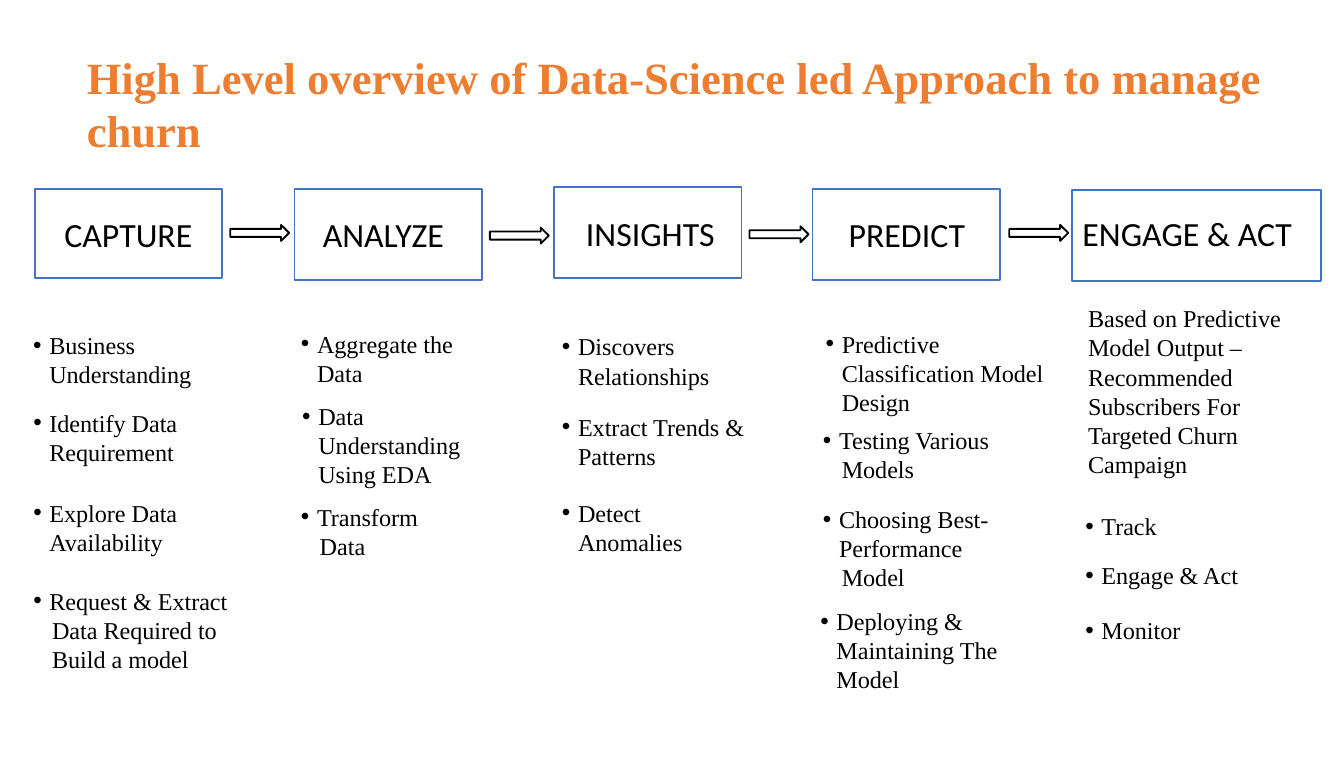
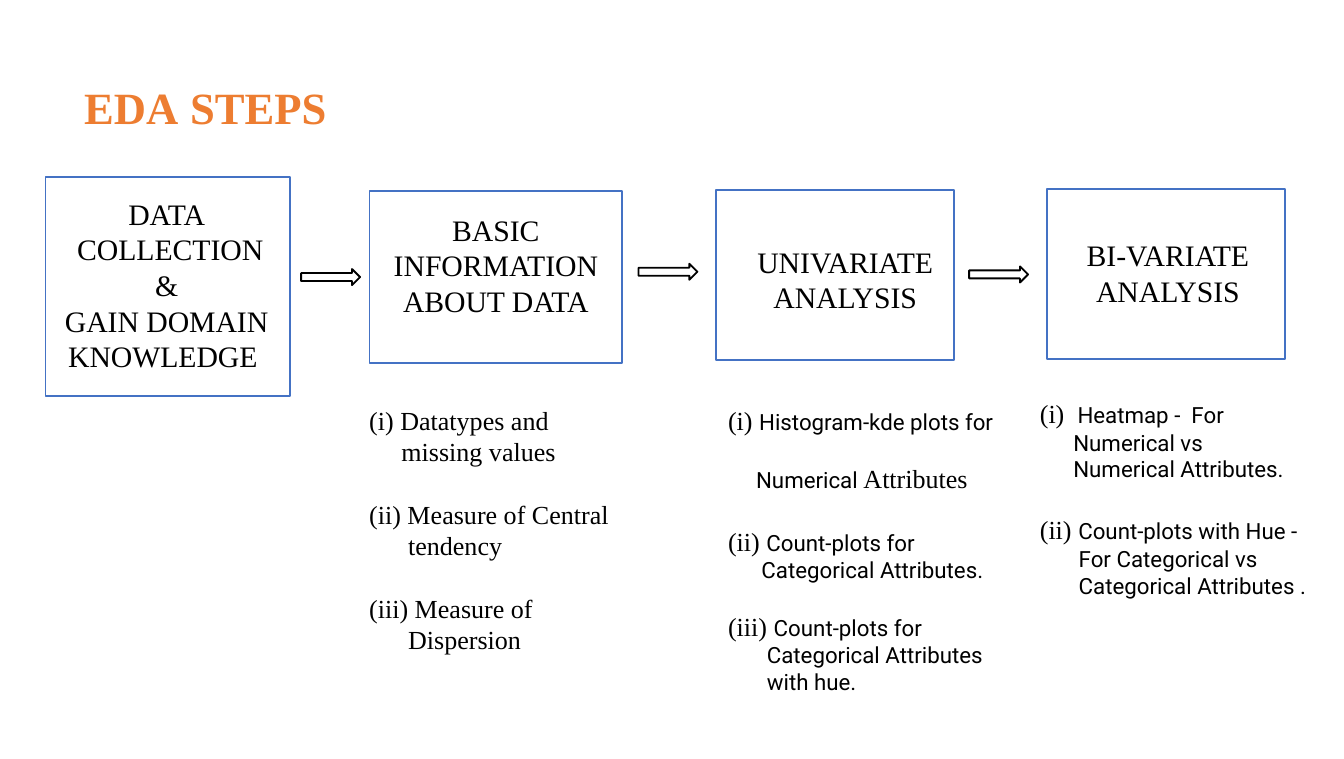
from dataclasses import dataclass
from lxml.etree import SubElement
from pptx import Presentation
from pptx.dml.color import RGBColor
from pptx.enum.shapes import MSO_SHAPE
from pptx.enum.text import MSO_AUTO_SIZE, PP_ALIGN
from pptx.oxml.ns import qn
from pptx.util import Inches, Pt


@dataclass(frozen=True)
class Theme:
    """Hold the colours and type styles of the deck."""
    white: str = "FFFFFF"
    black: str = "000000"
    blue: str = "4472C4"
    head: tuple = ("Times New Roman", 24, "ED7D31", True)
    gap: tuple = ("Calibri", 28, "0070C0", True)
    stage: tuple = ("Calibri", 18.2, "000000", False)
    step: tuple = ("Times New Roman", 16, "000000", False)
    note: tuple = ("Times New Roman", 13, "000000", False)
    mark: tuple = ("Times New Roman", 14, "000000", False)
    plain: tuple = ("Roboto", 12, "000000", False)


T = Theme()


def inch(*nums):
    """Turn numbers into lengths."""
    return [Inches(n) for n in nums]


def write(para, runs):
    """Add styled runs to a paragraph, breaking at newlines."""
    for text, style in runs:
        face, size, tint, bold = style
        for i, line in enumerate(text.split("\n")):
            if i:
                para.add_line_break()
            run = para.add_run()
            run.text = line
            for key, value in {"name": face, "size": Pt(size), "bold": bold}.items():
                setattr(run.font, key, value)
            run.font.color.rgb = RGBColor.from_string(tint)


def indent(para, left, first):
    """Set the left margin and first line indent."""
    props = para._p.get_or_add_pPr()
    for key, value in {"marL": left, "indent": first}.items():
        props.set(key, str(Inches(value)))
    return props


def bullet(para):
    """Give a paragraph a hanging round bullet."""
    props = indent(para, 0.12, -0.12)
    SubElement(props, qn("a:buFont")).set("typeface", "Arial")
    SubElement(props, qn("a:buChar")).set("char", "•")


def text(slide, box, paras, **form):
    """Add a text box with one list of runs per paragraph."""
    frame = slide.shapes.add_textbox(*inch(*box)).text_frame
    frame.word_wrap = True
    frame.auto_size = MSO_AUTO_SIZE.SHAPE_TO_FIT_TEXT
    for i, runs in enumerate(paras):
        para = frame.add_paragraph() if i else frame.paragraphs[0]
        for key, value in form.items():
            setattr(para, key, value)
        write(para, runs)
    return frame.paragraphs


def shape(slide, kind, box, line):
    """Add a white outlined shape."""
    item = slide.shapes.add_shape(kind, *inch(*box))
    item.shadow.inherit = False
    item.fill.solid()
    item.fill.fore_color.rgb = RGBColor.from_string(T.white)
    item.line.color.rgb = RGBColor.from_string(line)
    item.line.width = Pt(1)


def stage(slide, box, label, lines, style):
    """Draw a framed step, with its label placed relative to the frame."""
    shape(slide, MSO_SHAPE.RECTANGLE, box, T.blue)
    place = (box[0] + label[0], box[1] + label[1], *label[2:])
    text(slide, place, [[(line, style)] for line in lines], alignment=PP_ALIGN.CENTER)


def arrow(slide, left, top):
    """Draw a block arrow between two steps."""
    shape(slide, MSO_SHAPE.RIGHT_ARROW, (left, top, 0.44, 0.12), T.black)


def column(slide, left, notes):
    """Place bulleted notes down a column; later lines are indented."""
    for shift, top, width, rows, lines in notes:
        box = (left + shift, top, width, 0.1 + 0.22 * rows)
        first, *rest = text(slide, box, [[(line, T.note)] for line in lines])
        bullet(first)
        for para in rest:
            indent(para, 0.14, 0)


def points(slide, box, items):
    """Place numbered points with hanging lines in a box."""
    paras = text(slide, box, [runs for _, _, runs in items])
    for para, (hang, before, runs) in zip(paras, items):
        indent(para, hang, -hang if runs[0][0].startswith("(") else 0)
        para.space_before = Pt(before)


def approach(slide):
    """Build the overview of the five stages."""
    text(slide, (0.55, 0.32, 9.02, 0.91),
         [[("High Level overview of Data-Science led Approach to manage churn", T.head)]])
    stages = [
        ((0.26, 1.41, 1.4, 0.67), (0.1, 0.14, 1.2, 0.41), "CAPTURE"),
        ((2.2, 1.41, 1.4, 0.68), (0.11, 0.14, 1.11, 0.41), "ANALYZE"),
        ((4.14, 1.4, 1.4, 0.68), (0.02, 0.14, 1.4, 0.41), "INSIGHTS"),
        ((6.07, 1.41, 1.4, 0.68), (0.08, 0.14, 1.25, 0.41), "PREDICT"),
        ((8.01, 1.42, 1.86, 0.68), (-0.07, 0.12, 1.86, 0.41), "ENGAGE & ACT"),
    ]
    for box, label, name in stages:
        stage(slide, box, label, [name], T.stage)
    for i, top in enumerate((1.68, 1.7, 1.69, 1.68)):
        arrow(slide, 1.72 + 1.94 * i, top)
    columns = {
        0.15: [
            (0, 2.42, 1.56, 2, ["Business Understanding"]),
            (0, 3, 1.65, 2, ["Identify Data Requirement"]),
            (0, 3.67, 1.65, 2, ["Explore Data Availability"]),
            (0, 4.33, 2.05, 3, ["Request & Extract", "Data Required to", "Build a model"]),
        ],
        2.15: [
            (0, 2.41, 1.56, 2, ["Aggregate the Data"]),
            (0.01, 2.95, 1.56, 3, ["Data Understanding Using EDA"]),
            (0, 3.7, 1.56, 2, ["Transform", "Data"]),
        ],
        4.1: [
            (0, 2.43, 1.56, 2, ["Discovers Relationships"]),
            (0, 3.03, 1.56, 2, ["Extract Trends & Patterns"]),
            (0, 3.67, 1.56, 2, ["Detect Anomalies"]),
        ],
        6.05: [
            (0.02, 2.41, 1.93, 3, ["Predictive Classification Model Design"]),
            (0, 3.13, 1.56, 2, ["Testing Various", "Models"]),
            (0, 3.72, 1.56, 3, ["Choosing Best-Performance", "Model"]),
            (-0.02, 4.48, 1.56, 3, ["Deploying & Maintaining The Model"]),
        ],
        8.01: [
            (0, 3.77, 1.56, 1, ["Track"]),
            (0, 4.14, 1.56, 1, ["Engage & Act"]),
            (0, 4.55, 1.56, 1, ["Monitor"]),
        ],
    }
    for left, notes in columns.items():
        column(slide, left, notes)
    text(slide, (8.03, 2.22, 1.86, 1.41),
         [[("Based on Predictive Model Output –", T.note)],
          [("Recommended Subscribers For Targeted Churn Campaign", T.note)]])


def steps(slide):
    """Build the four analysis steps."""
    text(slide, (0.53, 0.46, 2.47, 0.58),
         [[("EDA", T.head), (" ", T.gap), ("STEPS", T.head)]],
         line_spacing=1.07, space_after=Pt(3))
    stages = [
        ((0.34, 1.32, 1.83, 1.64), (-0.04, 0.09, 1.89, 1.45),
         ["DATA", " COLLECTION", "&", "GAIN DOMAIN KNOWLEDGE "]),
        ((2.76, 1.43, 1.89, 1.28), (-0.09, 0.1, 2.07, 0.91), ["BASIC INFORMATION ABOUT DATA"]),
        ((5.35, 1.42, 1.78, 1.27), (0.1, 0.35, 1.73, 0.64), ["UNIVARIATE ANALYSIS"]),
        ((7.82, 1.41, 1.78, 1.27), (0.05, 0.31, 1.71, 0.64), ["BI-VARIATE ANALYSIS"]),
    ]
    for box, label, lines in stages:
        stage(slide, box, label, lines, T.step)
    for left, top in ((2.25, 2.01), (4.77, 1.97), (7.24, 1.99)):
        arrow(slide, left, top)
    points(slide, (2.66, 2.97, 2.09, 1.99), [
        (0.24, 0, [("(i) Datatypes and\nmissing values", T.mark)]),
        (0.29, 17, [("(ii) Measure of Central\ntendency", T.mark)]),
        (0.29, 17, [("(iii) Measure of\nDispersion", T.mark)]),
    ])
    points(slide, (5.34, 2.97, 2.22, 2.15), [
        (0.21, 0, [("(i) ", T.mark), ("Histogram-kde plots for", T.plain)]),
        (0.21, 14.5, [("Numerical ", T.plain), ("Attributes", T.mark)]),
        (0.25, 17, [("(ii) ", T.mark), ("Count-plots for\nCategorical Attributes.", T.plain)]),
        (0.29, 14.5, [("(iii) ", T.mark),
                      ("Count-plots for\nCategorical Attributes\nwith hue.", T.plain)]),
    ])
    points(slide, (7.67, 2.92, 2.37, 1.62), [
        (0.25, 0, [("(i)  ", T.mark),
                   ("Heatmap -  For\nNumerical vs\nNumerical Attributes.", T.plain)]),
        (0.29, 17, [("(ii) ", T.mark),
                    ("Count-plots with Hue -\nFor Categorical vs\nCategorical Attributes .", T.plain)]),
    ])


def main():
    """Build and save the deck."""
    deck = Presentation()
    deck.slide_width, deck.slide_height = inch(10.04, 5.67)
    for build in (approach, steps):
        build(deck.slides.add_slide(deck.slide_layouts[6]))
    deck.save("out.pptx")


if __name__ == "__main__":
    main()
